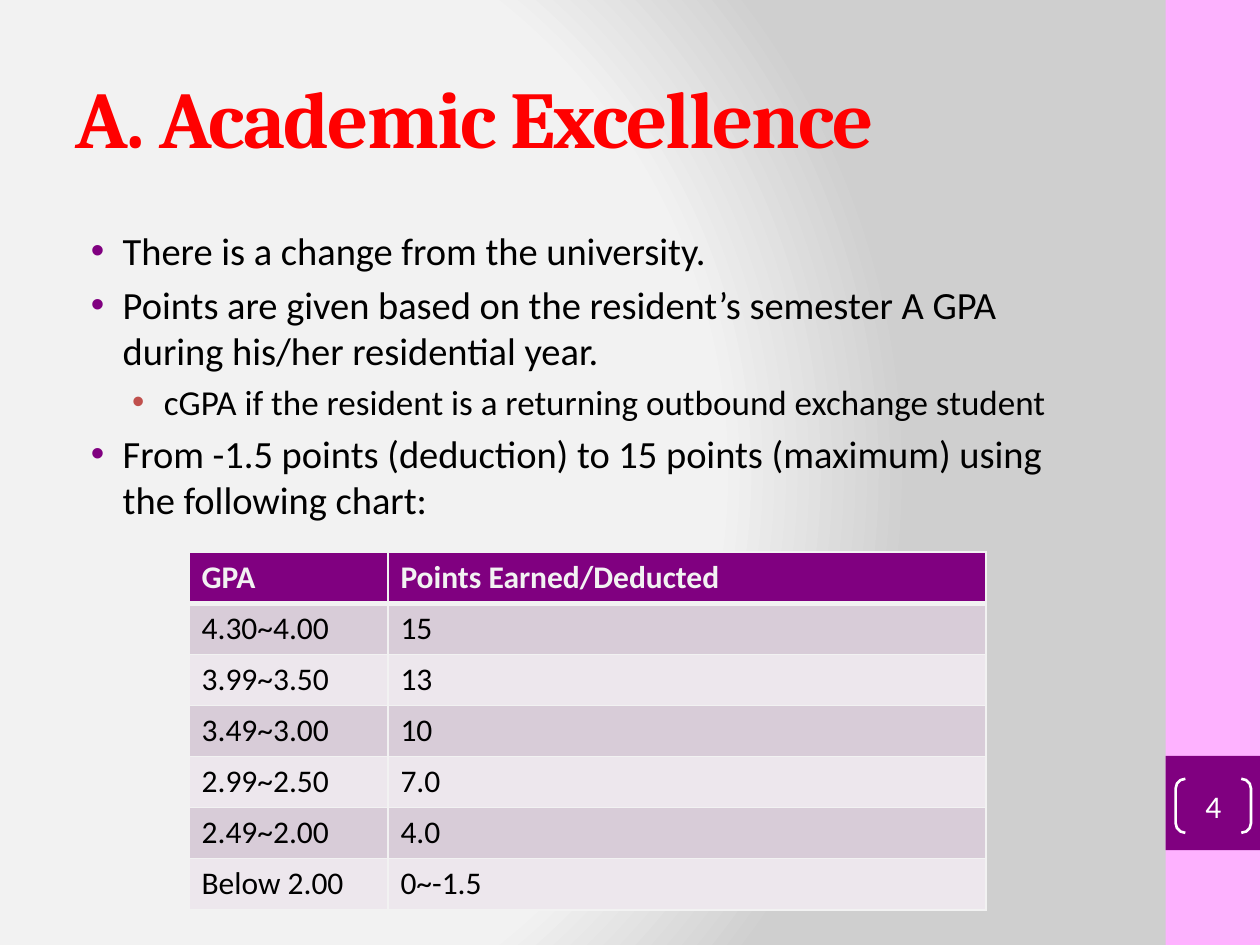
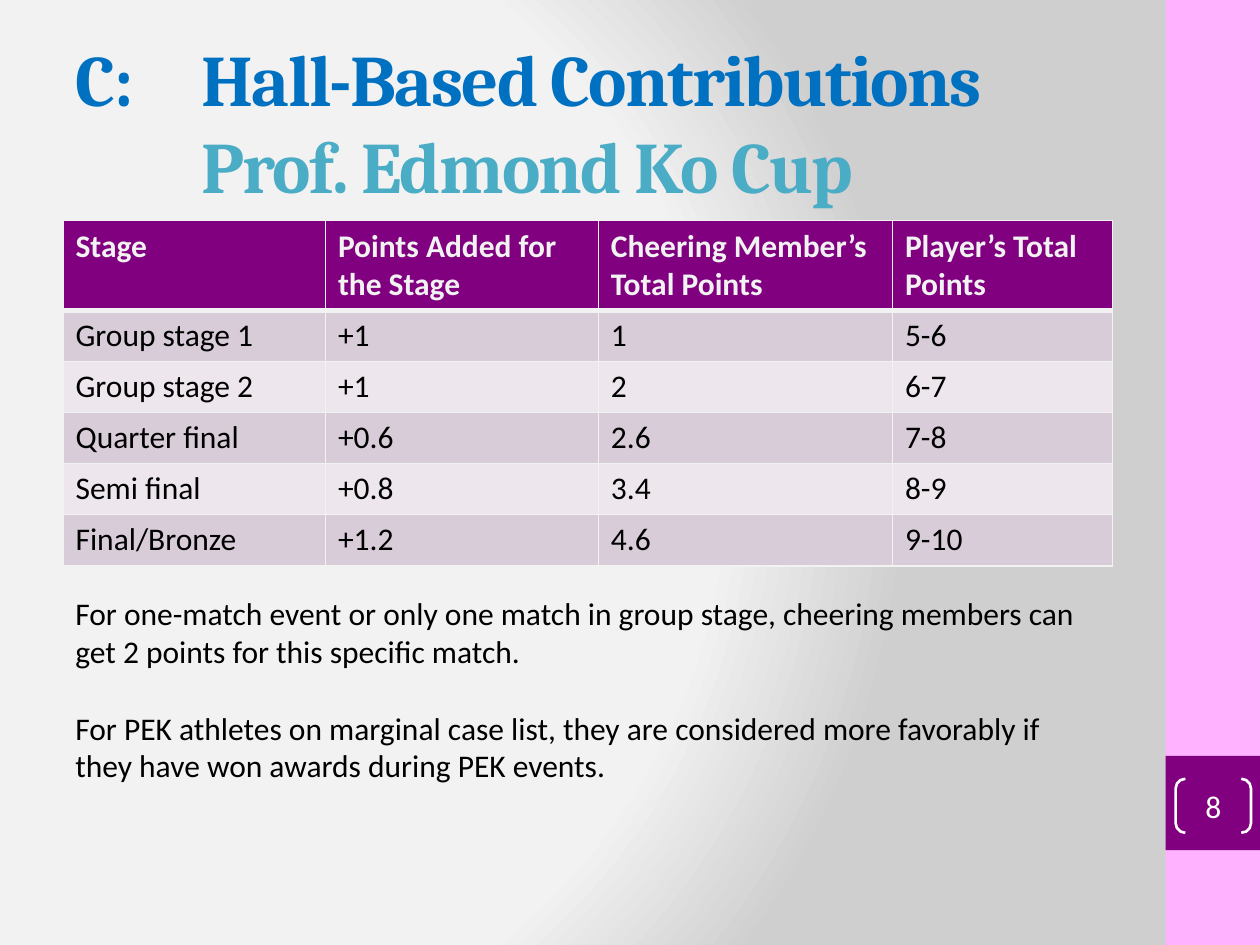
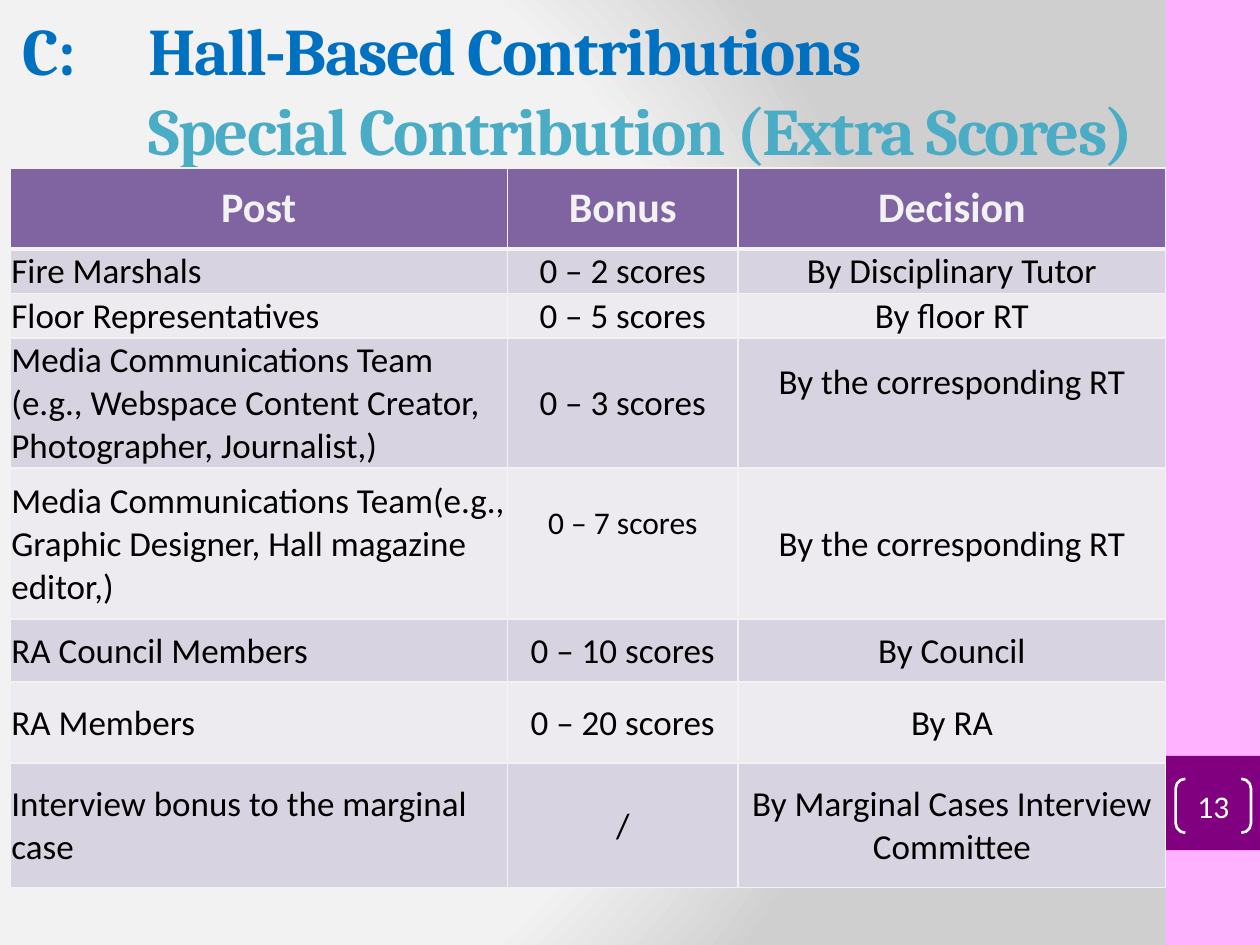
from lxml import etree
from pptx import Presentation
from pptx.dml.color import RGBColor
from pptx.enum.shapes import MSO_SHAPE
from pptx.enum.text import MSO_ANCHOR, MSO_AUTO_SIZE, PP_ALIGN
from pptx.oxml import parse_xml
from pptx.oxml.ns import nsdecls, qn
from pptx.util import Cm, Pt

COLORS = {
    "band": "FEB2FF", "purple": "800080", "white": "FFFFFF", "black": "000000",
    "red": "FF0000", "blue": "0070C0", "aqua": "4BACC6", "coral": "C0504D",
    "grid": "F2F2F2",
    "plum_dark": "D8CCD8", "plum_light": "EDE7ED",
    "violet": "8064A2", "violet_dark": "D8D3E0", "violet_light": "EDEAF0",
}
BACKGROUND_STOPS = [(0, "F3F3F3"), (75, "F2F2F2"), (100, "CFCFCF")]
HEAD_FONT, BODY_FONT = "Cambria", "Calibri"
TITLE_AND_BODY, TITLE_ONLY = 1, 5

# Content. Boxes are left, top, width, height in cm.
CONTENT_BOX = (1.27, 4.45, 21.16, 13.33)
PLUM = ("purple", "plum_dark", "plum_light")
VIOLET = ("violet", "violet_dark", "violet_light")

ACADEMIC = {
    "page": 4, "layout": TITLE_AND_BODY,
    "title": [("A. Academic Excellence", "red")],
    "title_size": 46, "title_box": (1.27, 0.76, 21.16, 3.18),
    "bullets": [
        (0, "There is a change from the university."),
        (0, "Points are given based on the resident’s semester A GPA during "
            "his/her residential year."),
        (1, "cGPA if the resident is a returning outbound exchange student"),
        (0, "From -1.5 points (deduction) to 15 points (maximum) using the "
            "following chart:"),
    ],
    "table": {
        "at": (3.81, 11.13), "cols": [4.01, 12.06], "rows": [1.03] * 7,
        "fills": PLUM,
        "cells": [
            ("GPA", "Points Earned/Deducted"),
            ("4.30~4.00", "15"),
            ("3.99~3.50", "13"),
            ("3.49~3.00", "10"),
            ("2.99~2.50", "7.0"),
            ("2.49~2.00", "4.0"),
            ("Below 2.00", "0~-1.5"),
        ],
    },
}

CUP = {
    "page": 8, "layout": TITLE_ONLY,
    "title": [("C: \tHall-Based Contributions", "blue"),
              ("\tProf. Edmond Ko Cup", "aqua")],
    "title_size": 41.4, "title_box": (1.27, 0.84, 21.16, 3.18),
    "table": {
        "at": (1.27, 4.45), "cols": [5.29, 5.5, 5.93, 4.44], "rows": [1.03] * 6,
        "fills": PLUM,
        "cells": [
            ("Stage", "Points Added for the Stage",
             "Cheering Member’s Total Points", "Player’s Total Points"),
            ("Group stage 1", "+1", "1", "5-6"),
            ("Group stage 2", "+1", "2", "6-7"),
            ("Quarter final", "+0.6", "2.6", "7-8"),
            ("Semi final", "+0.8", "3.4", "8-9"),
            ("Final/Bronze", "+1.2", "4.6", "9-10"),
        ],
    },
    "notes_box": (1.27, 11.86, 21.16, 4.11),
    "notes": [
        "For one-match event or only one match in group stage, cheering members "
        "can get 2 points for this specific match.",
        "For PEK athletes on marginal case list, they are considered more "
        "favorably if they have won awards during PEK events.",
    ],
}

SPECIAL = {
    "page": 13, "layout": TITLE_ONLY,
    "title": [("C: \tHall-Based Contributions", "blue"),
              ("\tSpecial Contribution (Extra Scores)", "aqua")],
    "title_size": 38, "title_box": (0.2, 0.2, 24.13, 3.18),
    "table": {
        "at": (0.2, 3.39), "cols": [10.03, 4.65, 8.62],
        "rows": [1.63, 0.69, 0.89, 2.44, 3.05, 1.27, 1.63, 2.51],
        "fills": VIOLET, "head_size": 24, "size": 20,
        "centred": True, "tight": True,
        "raised": {(3, 2): 20, (4, 1): 18},  # cell: text size
        "cells": [
            ("Post", "Bonus", "Decision"),
            ("Fire Marshals", "0 – 2 scores", "By Disciplinary Tutor"),
            ("Floor Representatives", "0 – 5 scores", "By floor RT"),
            ("Media Communications Team (e.g., Webspace Content Creator, "
             "Photographer, Journalist,)", "0 – 3 scores",
             "By the corresponding RT"),
            ("Media Communications Team(e.g., Graphic Designer, Hall magazine "
             "editor,)", "0 – 7 scores", "By the corresponding RT"),
            ("RA Council Members", "0 – 10 scores", "By Council"),
            ("RA Members", "0 – 20 scores", "By RA"),
            ("Interview bonus to the marginal case", "/",
             "By Marginal Cases Interview Committee"),
        ],
    },
}


def rgb(name):
    """Return the named colour."""
    return RGBColor.from_string(COLORS[name])


def cm_box(box):
    """Turn a box in centimetres into lengths."""
    return [Cm(value) for value in box]


def place(shape, box):
    """Move and size a shape."""
    shape.left, shape.top, shape.width, shape.height = cm_box(box)


def add_run(paragraph, text, size, color="black", font=BODY_FONT, bold=False):
    """Add a formatted run to a paragraph."""
    run = paragraph.add_run()
    run.text = text
    run.font.size, run.font.name, run.font.bold = Pt(size), font, bold
    run.font.color.rgb = rgb(color)
    return run


def paragraphs(frame, count):
    """Return the first paragraph of a frame and as many more as needed."""
    return [frame.paragraphs[0]] + [frame.add_paragraph() for _ in range(count - 1)]


def set_background(master):
    """Give the master its circular gradient."""
    master.background.fill.solid()
    stops = "".join(f'<a:gs pos="{pos * 1000}"><a:srgbClr val="{color}"/></a:gs>'
                    for pos, color in BACKGROUND_STOPS)
    gradient = parse_xml(
        f'<a:gradFill {nsdecls("a")} rotWithShape="1"><a:gsLst>{stops}</a:gsLst>'
        '<a:path path="circle"><a:fillToRect l="20000" t="50000" r="100000" '
        'b="50000"/></a:path></a:gradFill>')
    solid = master.element.find(".//" + qn("p:bgPr")).find(qn("a:solidFill"))
    solid.getparent().replace(solid, gradient)


def add_bands(slide, master):
    """Draw the side band and page square, then move them to the master."""
    bands = [((23.5, 0, 1.9, 19.05), "band"), ((23.5, 15.24, 1.9, 1.9), "purple")]
    for i, (box, color) in enumerate(bands):
        band = slide.shapes.add_shape(MSO_SHAPE.RECTANGLE, *cm_box(box))
        band.shadow.inherit = False
        band.fill.solid()
        band.fill.fore_color.rgb = rgb(color)
        band.line.fill.background()
        band.element.nvSpPr.cNvPr.set("id", str(20 + i))
        master.element.cSld.spTree.insert(2 + i, band.element)


def add_title(slide, lines, size, box):
    """Fill the title placeholder, one colour a line."""
    title = slide.shapes.title
    place(title, box)
    frame = title.text_frame
    frame.auto_size, frame.word_wrap = MSO_AUTO_SIZE.NONE, True
    frame.vertical_anchor = MSO_ANCHOR.MIDDLE
    paragraph = frame.paragraphs[0]
    paragraph.alignment = PP_ALIGN.LEFT
    paragraph._p.get_or_add_pPr().set("defTabSz", str(Cm(2.54)))
    for i, (text, color) in enumerate(lines):
        if i:
            paragraph.add_line_break()
        run = add_run(paragraph, text, size, color, HEAD_FONT, True)
        run.font._element.set("spc", "-100")


def add_bullets(slide, items):
    """Fill the body placeholder with a two-level list."""
    levels = [(22, 0.95, "purple"), (20, 1.78, "coral")]
    body = slide.placeholders[1]
    place(body, CONTENT_BOX)
    frame = body.text_frame
    frame.auto_size = MSO_AUTO_SIZE.NONE
    for paragraph, (level, text) in zip(paragraphs(frame, len(items)), items):
        size, indent, color = levels[level]
        paragraph.level = level
        add_run(paragraph, text, size)
        props = paragraph._p.get_or_add_pPr()
        props.set("marL", str(Cm(indent)))
        props.set("indent", str(-Cm(0.64)))
        tint = etree.SubElement(props, qn("a:buClr"))
        etree.SubElement(tint, qn("a:srgbClr")).set("val", COLORS[color])
        etree.SubElement(props, qn("a:buChar")).set("char", "•")


def set_borders(cell, top, bottom):
    """Draw the four cell borders; top and bottom give widths in points."""
    props = cell._tc.get_or_add_tcPr()
    for side, width in zip("LRTB", (1, 1, top, bottom)):
        line = etree.SubElement(props, qn(f"a:ln{side}"), w=str(Pt(width)))
        fill = etree.SubElement(line, qn("a:solidFill"))
        etree.SubElement(fill, qn("a:srgbClr")).set("val", COLORS["grid"])


def add_table(slide, at, cols, rows, fills, cells, head_size=18, size=18,
              centred=False, tight=False, raised=()):
    """Add a banded table with a heavy rule under its header."""
    box = cm_box((*at, sum(cols), sum(rows)))
    table = slide.shapes.add_table(len(rows), len(cols), *box).table
    for column, width in zip(table.columns, cols):
        column.width = Cm(width)
    for r, texts in enumerate(cells):
        table.rows[r].height = Cm(rows[r])
        header = r == 0
        fill = fills[0] if header else fills[2 - r % 2]
        for c, text in enumerate(texts):
            cell = table.cell(r, c)
            set_borders(cell, 3 if r == 1 else 1, 3 if header else 1)
            cell.fill.solid()
            cell.fill.fore_color.rgb = rgb(fill)
            paragraph = cell.text_frame.paragraphs[0]
            text_size = head_size if header else size
            if centred:
                cell.vertical_anchor = MSO_ANCHOR.MIDDLE
                if header or c:
                    paragraph.alignment = PP_ALIGN.CENTER
            if tight and not header:
                cell.margin_left = cell.margin_top = cell.margin_right = Cm(0.03)
                cell.margin_bottom = 0
            if (r, c) in raised:
                text_size = raised[r, c]
                cell.margin_bottom = Cm(0.85)
            add_run(paragraph, text, text_size, "grid" if header else "black",
                    bold=header)


def add_notes(slide, texts, box):
    """Add the remarks below a table."""
    frame = slide.shapes.add_textbox(*cm_box(box)).text_frame
    frame.word_wrap = True
    frame.auto_size = MSO_AUTO_SIZE.SHAPE_TO_FIT_TEXT
    for i, (paragraph, text) in enumerate(zip(paragraphs(frame, len(texts)), texts)):
        paragraph.space_before = Pt(22 if i else 0)
        add_run(paragraph, text, 18)


def add_page_number(slide, number):
    """Add the bracketed page number."""
    badge = slide.shapes.add_shape(MSO_SHAPE.DOUBLE_BRACKET,
                                   *cm_box((23.7, 15.7, 1.52, 1.09)))
    badge.shadow.inherit = False
    badge.adjustments[0] = 0.18
    badge.fill.background()
    badge.line.color.rgb = rgb("white")
    badge.line.width = Pt(1.5)
    frame = badge.text_frame
    frame.margin_left = frame.margin_right = 0
    frame.margin_top = frame.margin_bottom = 0
    frame.vertical_anchor = MSO_ANCHOR.MIDDLE
    frame.paragraphs[0].alignment = PP_ALIGN.CENTER
    add_run(frame.paragraphs[0], str(number), 18, "white")


def build():
    """Build and save the presentation."""
    prs = Presentation()
    prs.slide_width, prs.slide_height = Cm(25.4), Cm(19.05)
    master = prs.slide_master
    set_background(master)
    for i, page in enumerate((ACADEMIC, CUP, SPECIAL)):
        slide = prs.slides.add_slide(prs.slide_layouts[page["layout"]])
        if i == 0:
            add_bands(slide, master)
        add_title(slide, page["title"], page["title_size"], page["title_box"])
        if "bullets" in page:
            add_bullets(slide, page["bullets"])
        add_table(slide, **page["table"])
        if "notes" in page:
            add_notes(slide, page["notes"], page["notes_box"])
        add_page_number(slide, page["page"])
    prs.save("out.pptx")


build()
